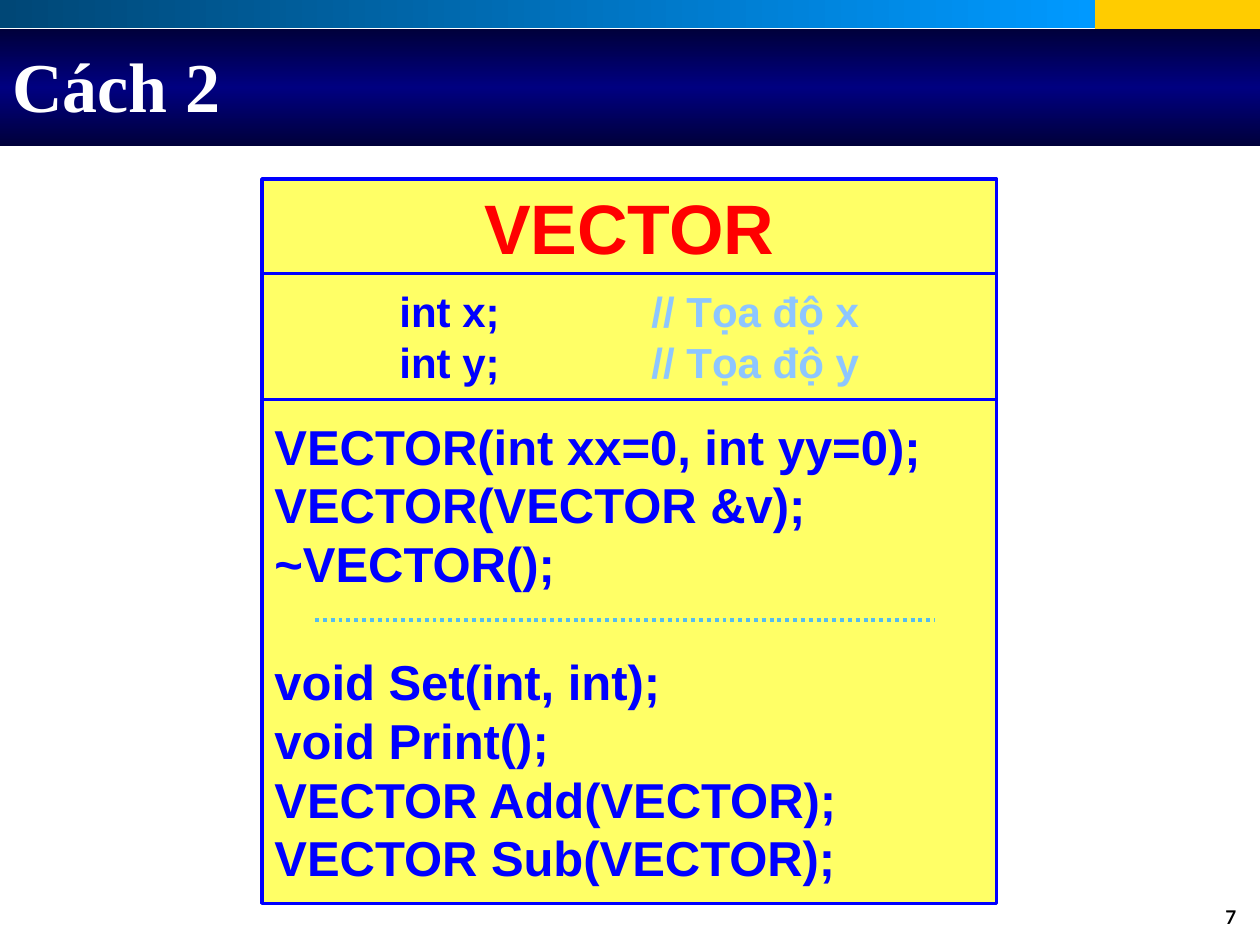
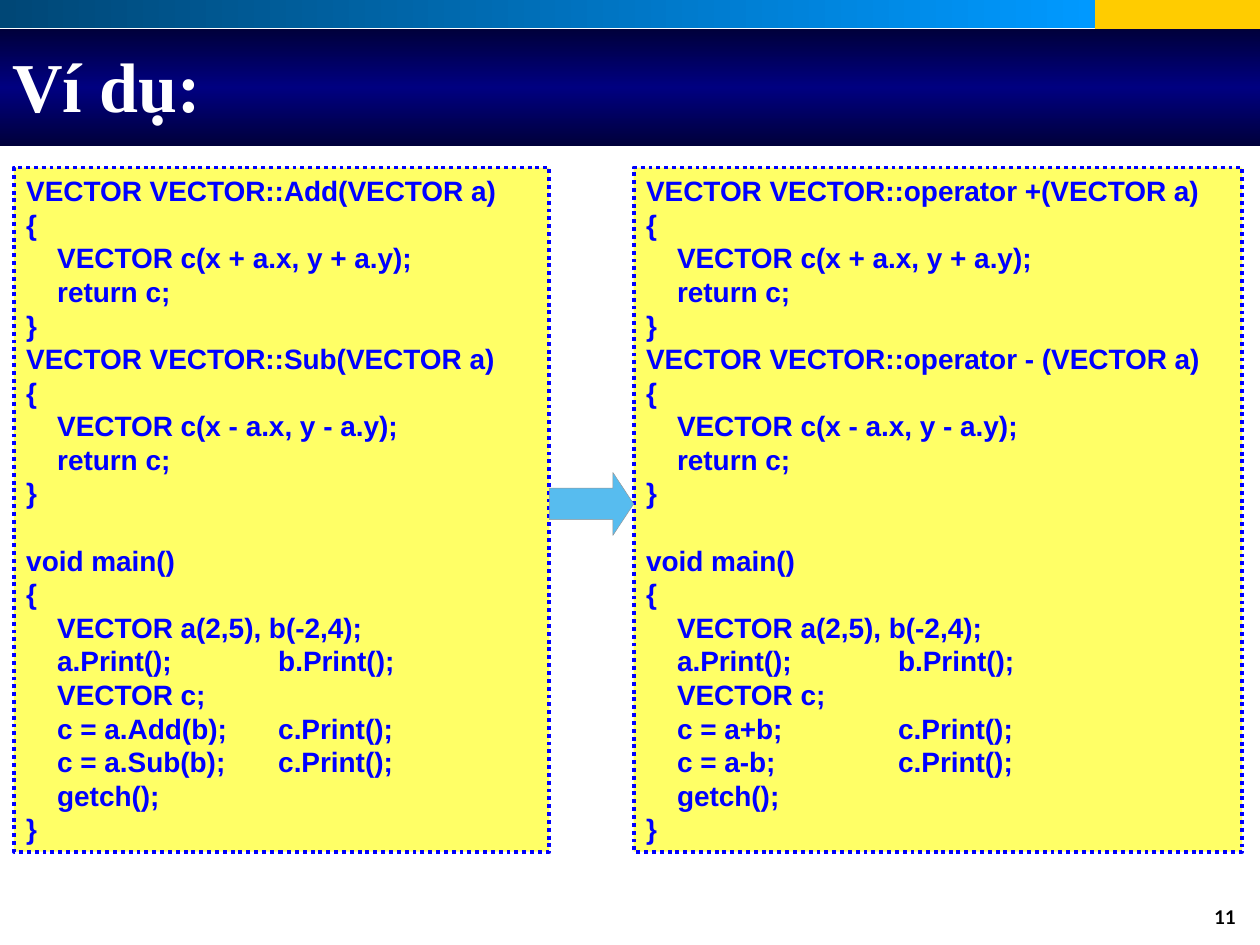
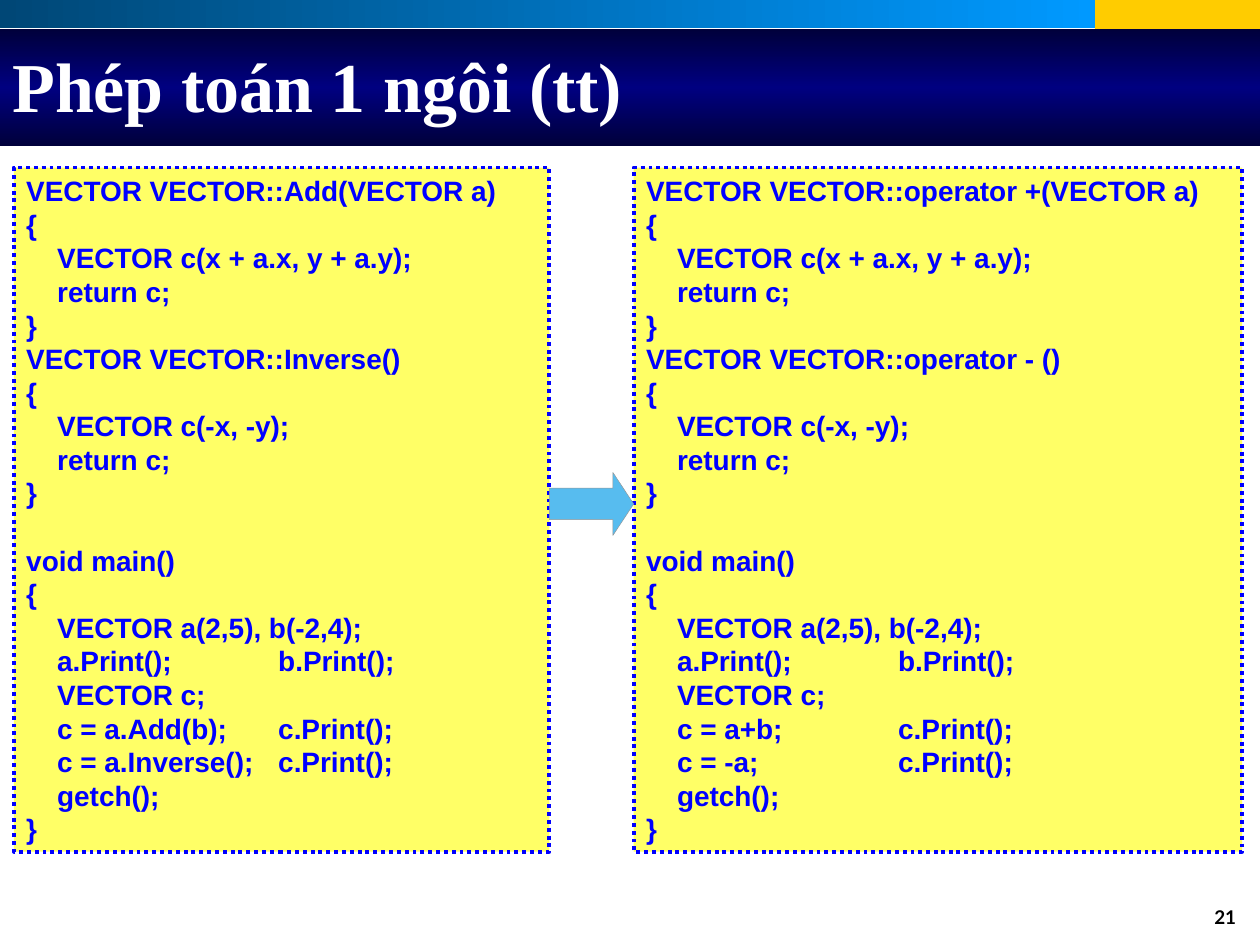
from dataclasses import dataclass

from lxml import etree
from pptx import Presentation, util as u
from pptx.dml.color import RGBColor
from pptx.enum import dml, shapes, text
from pptx.oxml.ns import qn


@dataclass(frozen=True)
class Theme:
    accent: str = "FFCC00"
    top_band: tuple = ("004776", "0099FF")
    title_band: tuple = ("00003B", "000080", "00003B")
    white: str = "FFFFFF"
    black: str = "000000"
    panel: str = "FFFF66"
    code: str = "0000FF"
    class_name: str = "FF0000"
    comment: str = "8DC6FF"
    sky: str = "57BCEF"
    gray: str = "969696"
    title_font: str = "Times New Roman"
    body_font: str = "Arial"
    number_font: str = "Lato"
    title_size: float = 40
    method_size: float = 28
    field_size: float = 24
    code_size: float = 16
    number_size: float = 10.8
    line_height: float = 1.2


T = Theme()

VECTOR_CLASS = {
    "name": "VECTOR",
    "fields": [("int x;\t", "// Tọa độ x"), ("int y;\t", "// Tọa độ y")],
    "methods": [
        ["VECTOR(int xx=0, int yy=0);", "VECTOR(VECTOR &v);", "~VECTOR();"],
        ["void Set(int, int);", "void Print();", "VECTOR Add(VECTOR);",
         "VECTOR Sub(VECTOR);"],
    ],
}

SUM = "x + a.x, y + a.y"
DIFFERENCE = "x - a.x, y - a.y"
NEGATION = "-x, -y"

COMPARISONS = [
    ("Ví dụ:", 11, [
        {"functions": [("Add(VECTOR a)", SUM), ("Sub(VECTOR a)", DIFFERENCE)],
         "calls": ["a.Add(b)", "a.Sub(b)"]},
        {"functions": [("operator +(VECTOR a)", SUM),
                       ("operator - (VECTOR a)", DIFFERENCE)],
         "calls": ["a+b", "a-b"]},
    ]),
    ("Phép toán 1 ngôi (tt)", 21, [
        {"functions": [("Add(VECTOR a)", SUM), ("Inverse()", NEGATION)],
         "calls": ["a.Add(b)", "a.Inverse()"]},
        {"functions": [("operator +(VECTOR a)", SUM),
                       ("operator - ()", NEGATION)],
         "calls": ["a+b", "-a"]},
    ]),
]


def program(functions, calls):
    members = []
    for signature, result in functions:
        members += [f"VECTOR VECTOR::{signature}", "{",
                    f"    VECTOR c({result});", "    return c;", "}"]
    main = ["void main()", "{", "    VECTOR a(2,5), b(-2,4);",
            "    a.Print();\tb.Print();", "    VECTOR c;"]
    main += [f"    c = {call};\tc.Print();" for call in calls]
    return [members, main + ["    getch();", "}"]]


def rgb(color):
    return RGBColor.from_string(color)


def add_box(s, box, fill, line=None, width=2, dash=None,
            kind=shapes.MSO_SHAPE.RECTANGLE):
    sp = s.shapes.add_shape(kind, *map(u.Inches, box))
    sp.shadow.inherit = False
    sp.fill.solid()
    sp.fill.fore_color.rgb = rgb(fill)
    if line:
        sp.line.color.rgb = rgb(line)
        sp.line.width = u.Pt(width)
        sp.line.dash_style = dash
    else:
        sp.line.fill.background()
    return sp


def add_gradient(s, box, colors, angle):
    sp = add_box(s, box, colors[0])
    solid = sp._element.spPr.find(qn("a:solidFill"))
    grad = etree.Element(qn("a:gradFill"), rotWithShape="1")
    stops = etree.SubElement(grad, qn("a:gsLst"))
    for i, color in enumerate(colors):
        stop = etree.SubElement(stops, qn("a:gs"),
                                pos=str(100000 * i // (len(colors) - 1)))
        etree.SubElement(stop, qn("a:srgbClr"), val=color)
    etree.SubElement(grad, qn("a:lin"), ang=str(angle * 60000), scaled="0")
    solid.getparent().replace(solid, grad)


def add_tab(p, inches):
    tabs = etree.SubElement(p._p.get_or_add_pPr(), qn("a:tabLst"))
    etree.SubElement(tabs, qn("a:tab"), pos=str(u.Inches(inches)), algn="l")


def write(sp, groups, size, color, font=T.body_font, align=text.PP_ALIGN.LEFT,
          anchor=text.MSO_ANCHOR.MIDDLE, spacing=None):
    tf = sp.text_frame
    tf.word_wrap = True
    tf.vertical_anchor = anchor
    first = True
    for group in groups:
        for i, line in enumerate(group):
            p = tf.paragraphs[0] if first else tf.add_paragraph()
            parts = [line] if isinstance(line, str) else line
            if any("\t" in part for part in parts):
                add_tab(p, 2)
            p.alignment = align
            p.line_spacing = spacing
            if i == 0 and not first:
                p.space_before = u.Pt(size * T.line_height)
            p.font.name, p.font.size, p.font.bold = font, u.Pt(size), True
            p.font.color.rgb = rgb(color)
            for part in parts:
                r = p.add_run()
                r.text = part
                if part.startswith("//"):
                    r.font.color.rgb = rgb(T.comment)
            first = False


def add_slide(prs, title, number):
    s = prs.slides.add_slide(prs.slide_layouts[6])
    add_box(s, (8.69, 0, 1.31, 0.28), T.accent)
    add_gradient(s, (0, 0, 8.69, 0.22), T.top_band, 0)
    add_gradient(s, (0, 0.23, 10, 0.93), T.title_band, 90)
    sp = s.shapes.add_textbox(*map(u.Inches, (7.58, 7.17, 2.33, 0.32)))
    write(sp, [[str(number)]], T.number_size, T.black, T.number_font,
          text.PP_ALIGN.RIGHT, text.MSO_ANCHOR.TOP, 0.8)
    sp = s.shapes.add_textbox(*map(u.Inches, (0, 0.17, 9.5, 1)))
    write(sp, [[title]], T.title_size, T.white, T.title_font)
    return s


def add_class_diagram(s, diagram):
    center = text.PP_ALIGN.CENTER
    rows = [
        (0.75, [[diagram["name"]]], T.title_size, T.class_name, center),
        (1, [diagram["fields"]], T.field_size, T.code, center),
        (4, diagram["methods"], T.method_size, T.code, text.PP_ALIGN.LEFT),
    ]
    top = 1.42
    for height, groups, size, color, align in rows:
        sp = add_box(s, (2.08, top, 5.83, height), T.panel, T.code)
        write(sp, groups, size, color, align=align)
        top += height
    divider = s.shapes.add_connector(
        shapes.MSO_CONNECTOR.STRAIGHT,
        *map(u.Inches, (2.5, 4.92, 7.42, 4.92)))
    divider.line.color.rgb = rgb(T.sky)
    divider.line.width = u.Pt(2.25)
    divider.line.dash_style = dml.MSO_LINE.ROUND_DOT
    etree.SubElement(divider._element.spPr, qn("a:effectLst"))


def add_comparison(s, programs):
    top, height = 1.33, 5.43
    spans = [(0.11, 4.25), (5.03, 4.83)]
    for (left, width), parts in zip(spans, programs):
        sp = add_box(s, (left, top, width, height), T.panel, T.code, 2.25,
                     dml.MSO_LINE.ROUND_DOT)
        write(sp, program(**parts), T.code_size, T.code,
              anchor=text.MSO_ANCHOR.TOP)
    start = sum(spans[0])
    arrow = add_box(s, (start, 3.75, spans[1][0] - start, 0.5), T.sky,
                    T.gray, 0.25, kind=shapes.MSO_SHAPE.RIGHT_ARROW)
    arrow.adjustments[0] = 0.5
    arrow.adjustments[1] = 0.33


def main():
    prs = Presentation()
    prs.slide_width, prs.slide_height = u.Inches(10), u.Inches(7.5)
    add_class_diagram(add_slide(prs, "Cách 2", 7), VECTOR_CLASS)
    for title, number, programs in COMPARISONS:
        add_comparison(add_slide(prs, title, number), programs)
    prs.save("out.pptx")


if __name__ == "__main__":
    main()
